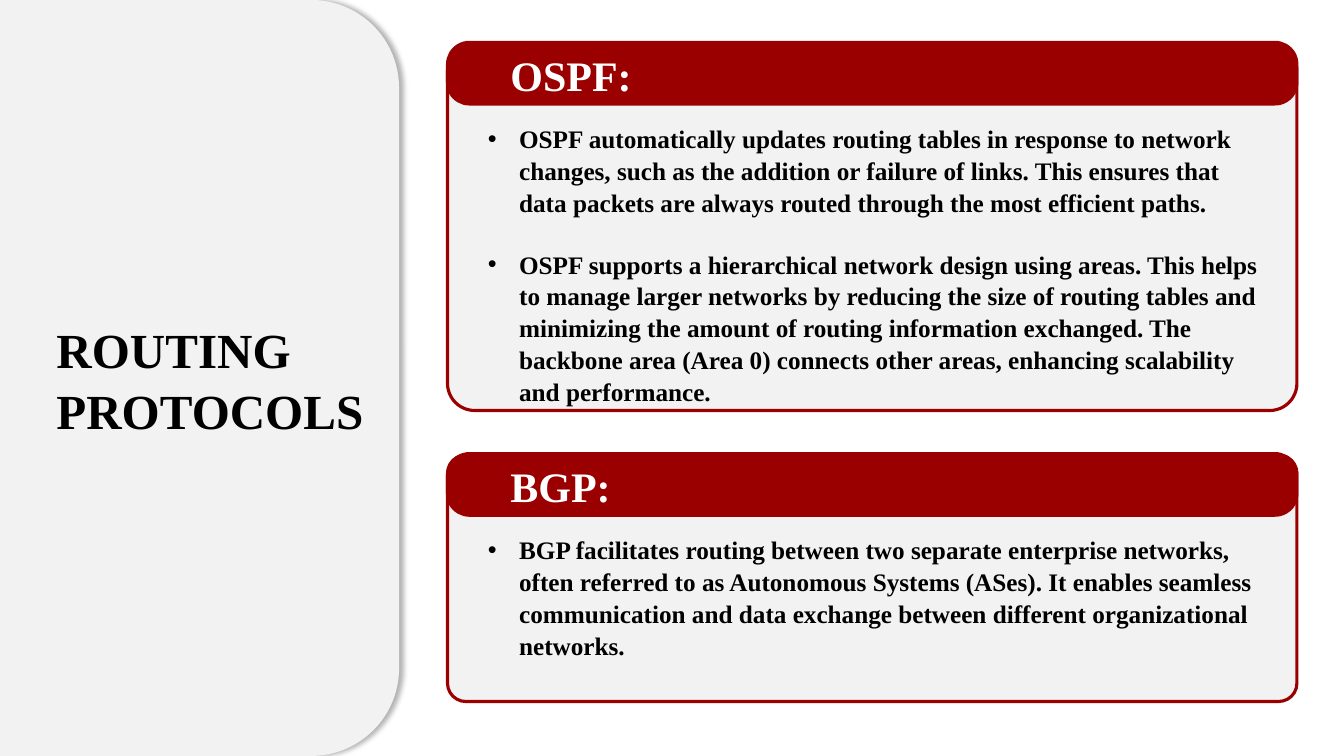
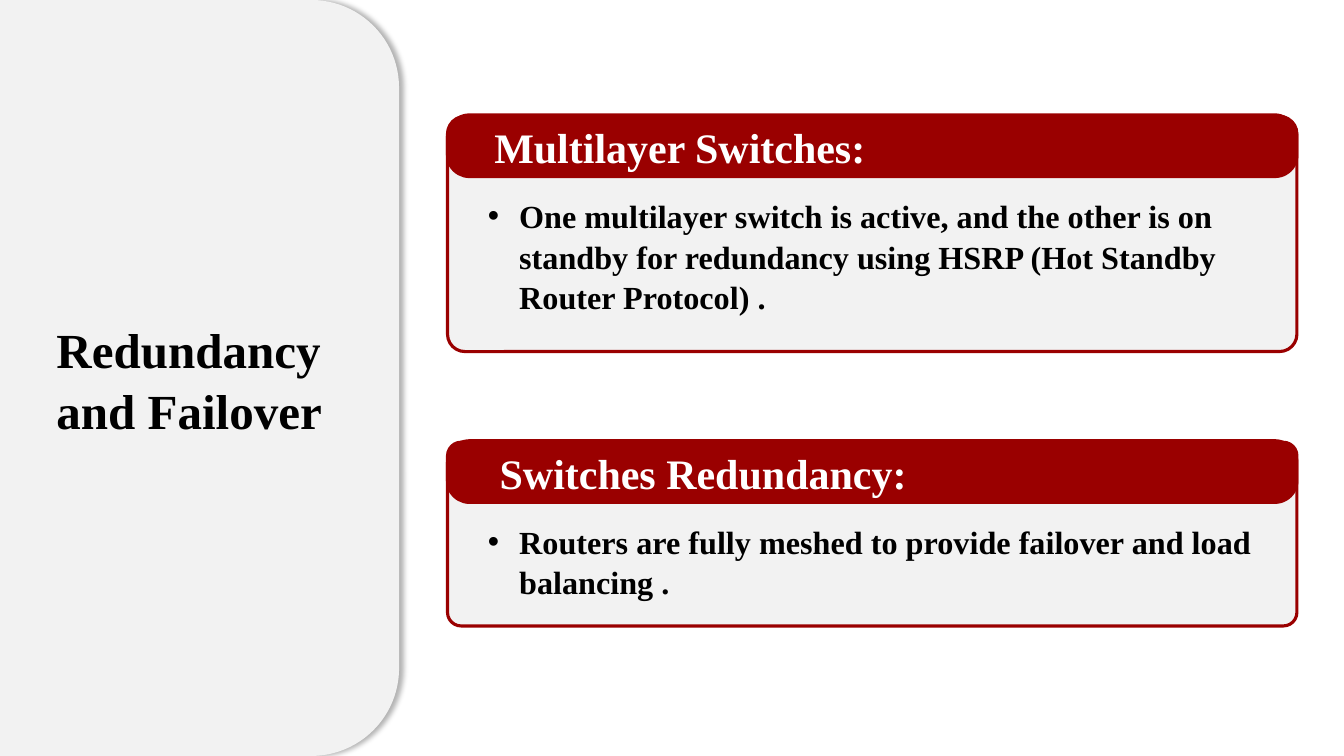
from lxml import etree
from pptx import Presentation, util as u
from pptx.dml.color import RGBColor
from pptx.enum import shapes, text
from pptx.oxml import parse_xml
from pptx.oxml.ns import nsdecls, qn

FONT = "Times New Roman"
RED, GREY, BLACK, WHITE = "9A0000", "F2F2F2", "000000", "FFFFFF"
SLIDE_W, SLIDE_H = u.Inches(13.33), u.Inches(7.5)
COLUMN, ROW = SLIDE_W / 100, SLIDE_H / 100

# Boxes are left, top, width, height in columns and rows of a 100 x 100 grid
SIDEBAR = (-9.5, 0, 39.2, 100)
TITLE = (3.45, 41.5, 25.2, 17)
CARD_LEFT, CARD_W = 33.3, 63.2
BAR_H, LIST_TOP, LIST_W = 8.15, 9.85, 61.9
LINE_SPACING = 1.05

SLIDES = [
    dict(title="ROUTING PROTOCOLS", size=18, cards=[
        dict(top=5.6, height=48.7, heading="OSPF:", indent=4.2, items=[
            "OSPF automatically updates routing tables in response to network "
            "changes, such as the addition or failure of links. This ensures "
            "that data packets are always routed through the most efficient "
            "paths.",
            "OSPF supports a hierarchical network design using areas. This "
            "helps to manage larger networks by reducing the size of routing "
            "tables and minimizing the amount of routing information "
            "exchanged. The backbone area (Area 0) connects other areas, "
            "enhancing scalability and performance."]),
        dict(top=60, height=32.8, heading="BGP:", indent=4.2, items=[
            "BGP facilitates routing between two separate enterprise networks, "
            "often referred to as Autonomous Systems (ASes). It enables "
            "seamless communication and data exchange between different "
            "organizational networks."]),
    ]),
    dict(title="Redundancy and Failover", size=23, cards=[
        dict(top=15.2, height=31.3, heading="Multilayer Switches:", indent=3,
             items=["One multilayer switch is active, and the other is on "
                    "standby for redundancy using HSRP (Hot Standby Router "
                    "Protocol) ."]),
        dict(top=58.3, height=24.5, heading="Switches Redundancy:", indent=3.4,
             items=["Routers are fully meshed to provide failover and load "
                    "balancing ."]),
    ]),
]


def rgb(color):
    return RGBColor.from_string(color)


def to_emu(box):
    """Turn a grid box into slide lengths."""
    return [u.Emu(round(n * unit)) for n, unit in zip(box, (COLUMN, ROW) * 2)]


def move(sp, box):
    """Place a placeholder and bring it to the front."""
    sp.left, sp.top, sp.width, sp.height = to_emu(box)
    sp.element.getparent().append(sp.element)


def add_bullet(p):
    pPr = p._p.get_or_add_pPr()
    pPr.set("marL", str(u.Inches(0.61)))
    pPr.set("indent", str(u.Inches(-0.31)))
    etree.SubElement(pPr, qn("a:buFont")).set("typeface", "Arial")
    etree.SubElement(pPr, qn("a:buChar")).set("char", "•")


def write(sp, *lines, size, color=BLACK, anchor=text.MSO_ANCHOR.MIDDLE,
          bullets=False, gap=0):
    tf = sp.text_frame
    tf.word_wrap = True
    tf.auto_size = text.MSO_AUTO_SIZE.NONE
    tf.vertical_anchor = anchor
    for i, line in enumerate(lines):
        p = tf.add_paragraph() if i else tf.paragraphs[0]
        if bullets:
            add_bullet(p)
        p.alignment = text.PP_ALIGN.LEFT
        p.line_spacing = LINE_SPACING
        p.space_before = u.Pt(gap if i else 0)
        r = p.add_run()
        r.text = line
        r.font.name, r.font.size, r.font.bold = FONT, u.Pt(size), True
        r.font.color.rgb = rgb(color)


def add_round_box(slide, box, fill, line=None, radius=None):
    sp = slide.shapes.add_shape(shapes.MSO_SHAPE.ROUNDED_RECTANGLE, *to_emu(box))
    sp.shadow.inherit = False
    sp.fill.solid()
    sp.fill.fore_color.rgb = rgb(fill)
    if line:
        sp.line.color.rgb = rgb(line)
        sp.line.width = u.Pt(2.25)
    else:
        sp.line.fill.background()
    if radius:
        sp.adjustments[0] = radius
    return sp


def add_sidebar(slide, title):
    sp = add_round_box(slide, SIDEBAR, GREY)
    sp.element.spPr.find(qn("a:effectLst")).append(parse_xml(
        f'<a:outerShdw {nsdecls("a")} blurRad="{u.Pt(4)}" dist="{u.Pt(3)}" '
        f'dir="0" algn="l" rotWithShape="0"><a:srgbClr val="{BLACK}">'
        '<a:alpha val="30000"/></a:srgbClr></a:outerShdw>'))
    move(slide.shapes.title, TITLE)
    write(slide.shapes.title, title, size=35)


def add_card(slide, body, size, top, height, heading, indent, items):
    """Draw a panel with a heading bar and put the list in it."""
    add_round_box(slide, (CARD_LEFT, top + 0.2, CARD_W, height - 0.2),
                  GREY, RED, 0.074)
    bar = add_round_box(slide, (CARD_LEFT, top, CARD_W, BAR_H), RED, RED, 0.357)
    bar.text_frame.margin_left = u.Emu(round(indent * COLUMN))
    write(bar, heading, size=30, color=WHITE)
    move(body, (CARD_LEFT, top + LIST_TOP, LIST_W, height - LIST_TOP))
    write(body, *items, size=size, anchor=text.MSO_ANCHOR.TOP,
          bullets=True, gap=size * 1.2)


def add_topic_slide(prs, title, size, cards):
    slide = prs.slides.add_slide(prs.slide_layouts.get_by_name("Two Content"))
    add_sidebar(slide, title)
    bodies = [sp for sp in slide.placeholders if sp.placeholder_format.idx]
    for body, card in zip(bodies, cards):
        add_card(slide, body, size, **card)


def main():
    prs = Presentation()
    prs.slide_width, prs.slide_height = SLIDE_W, SLIDE_H
    for topic in SLIDES:
        add_topic_slide(prs, **topic)
    prs.save("out.pptx")


if __name__ == "__main__":
    main()
